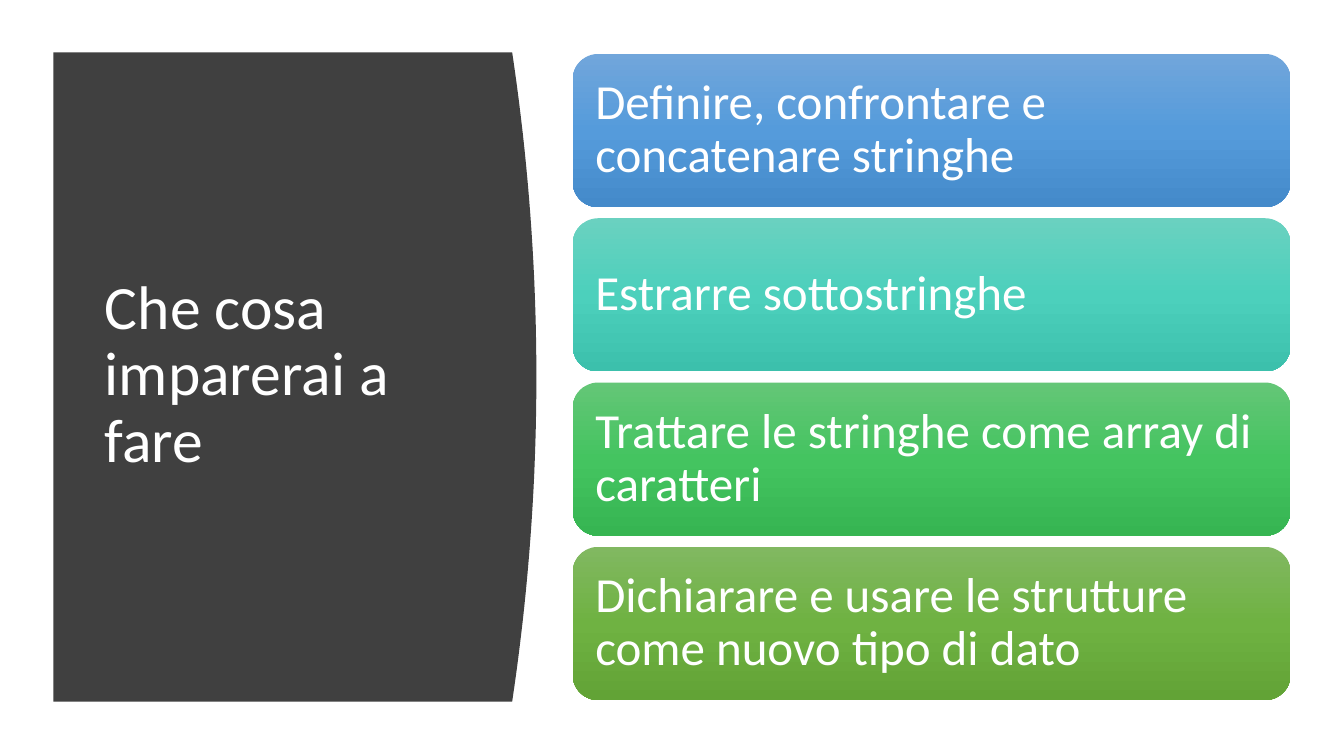
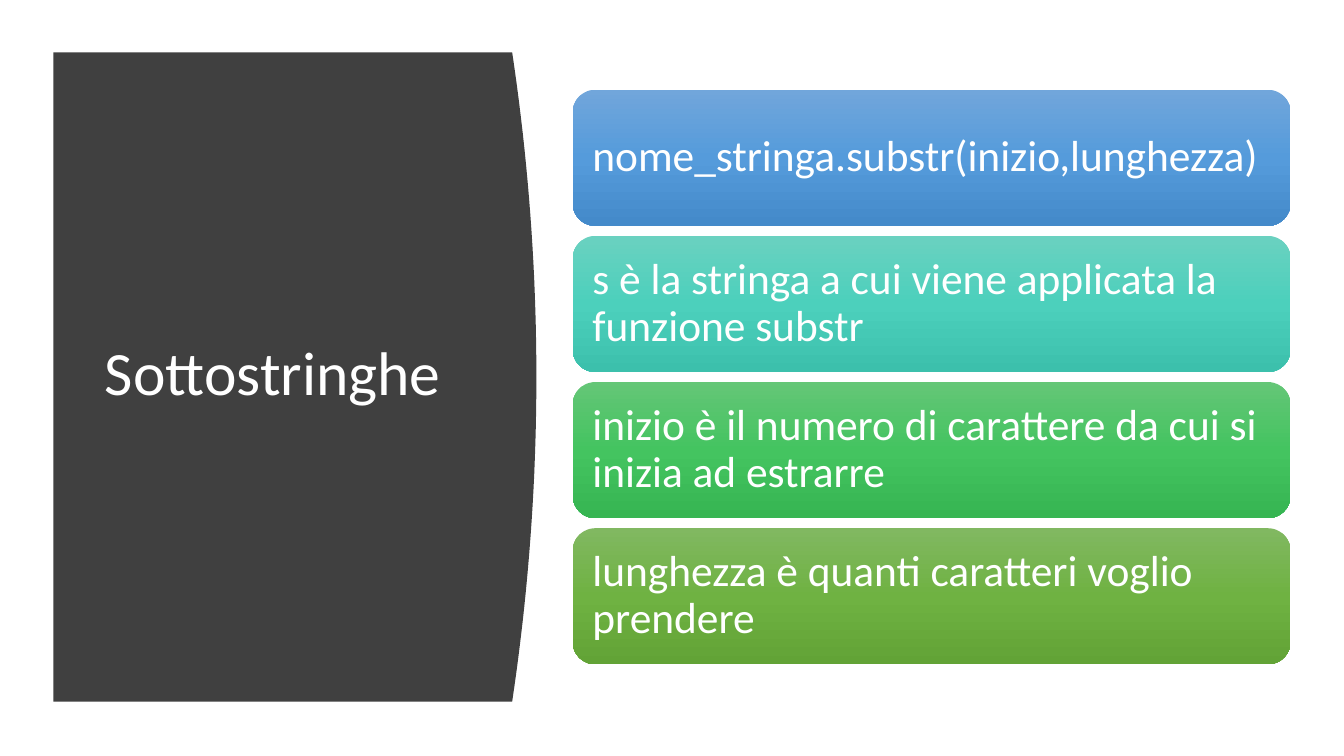
from copy import deepcopy

from pptx import Presentation
from pptx.dml.color import RGBColor
from pptx.enum.shapes import MSO_SHAPE
from pptx.enum.text import MSO_ANCHOR, MSO_AUTO_SIZE, PP_ALIGN
from pptx.oxml.ns import qn
from pptx.util import Emu, Pt

PX = 9144  # 100 px to the inch
FONT = "Calibri"
WHITE = RGBColor(0xFF, 0xFF, 0xFF)
CHARCOAL = RGBColor(0x40, 0x40, 0x40)
# Top, middle and bottom colour of each card
GRADIENTS = [
    (RGBColor(0x71, 0xA6, 0xDB), RGBColor(0x55, 0x9B, 0xDB), RGBColor(0x44, 0x8A, 0xCA)),
    (RGBColor(0x6A, 0xD1, 0xC0), RGBColor(0x4C, 0xD0, 0xBC), RGBColor(0x3C, 0xC0, 0xAC)),
    (RGBColor(0x64, 0xC6, 0x77), RGBColor(0x44, 0xC4, 0x60), RGBColor(0x36, 0xB5, 0x52)),
    (RGBColor(0x81, 0xB8, 0x61), RGBColor(0x6F, 0xB2, 0x42), RGBColor(0x62, 0xA3, 0x36)),
]

# Side panel: straight left edge, bulging right edge
PANEL_LEFT, PANEL_TOP, PANEL_BOTTOM = 53, 52, 696
PANEL_RIGHT, BULGE, CURVE_STEPS = 508, 24, 40
MIDDLE = (PANEL_TOP + PANEL_BOTTOM) // 2
CARD_LEFT, CARD_WIDTH = 568, 712


def px(*lengths):
    return [Emu(round(n * PX)) for n in lengths]


def write(shape, text, *, size, margins=(10, 5), color=WHITE):
    tf = shape.text_frame
    tf.word_wrap = True
    tf.auto_size = MSO_AUTO_SIZE.NONE
    tf.vertical_anchor = MSO_ANCHOR.MIDDLE
    tf.margin_left = tf.margin_right = margins[0] * PX
    tf.margin_top = tf.margin_bottom = margins[1] * PX
    p = tf.paragraphs[0]
    p.alignment = PP_ALIGN.LEFT
    p.line_spacing = 0.9
    r = p.add_run()
    r.text = text
    r.font.name = FONT
    r.font.size = Pt(size)
    r.font.color.rgb = color


def add_panel(s):
    curve = []
    for i in range(CURVE_STEPS + 1):
        t = i / CURVE_STEPS
        x = PANEL_RIGHT + BULGE * (1 - (2 * t - 1) ** 2)
        curve.append(px(x, PANEL_TOP + t * (PANEL_BOTTOM - PANEL_TOP)))
    builder = s.shapes.build_freeform(*px(PANEL_LEFT, PANEL_TOP))
    builder.add_line_segments(curve + [px(PANEL_LEFT, PANEL_BOTTOM)], close=True)
    panel = builder.convert_to_shape()
    panel.shadow.inherit = False
    panel.fill.solid()
    panel.fill.fore_color.rgb = CHARCOAL
    panel.line.fill.background()
    # Keep the title in front of the panel
    s.shapes.title.element.addprevious(panel.element)


def add_title(s, text):
    title = s.shapes.title
    title.left, title.top, title.width, title.height = px(94, 111, 374, 524)
    write(title, text, size=44)


def fill_gradient(shape, colors):
    shape.fill.gradient()
    shape.fill.gradient_angle = 270
    stops = shape.element.find(".//" + qn("a:gsLst"))
    stops.append(deepcopy(stops[0]))
    for i, (stop, color) in enumerate(zip(shape.fill.gradient_stops, colors)):
        stop.position = i / 2
        stop.color.rgb = color


def add_cards(s, texts, *, height, gap, size, margin):
    pitch = height + gap
    top = MIDDLE - (len(texts) * pitch - gap) / 2
    for i, (text, colors) in enumerate(zip(texts, GRADIENTS)):
        card = s.shapes.add_shape(
            MSO_SHAPE.ROUNDED_RECTANGLE,
            *px(CARD_LEFT, top + i * pitch, CARD_WIDTH, height))
        card.shadow.inherit = False
        card.line.fill.background()
        fill_gradient(card, colors)
        write(card, text, size=size, margins=(margin, margin))


def add_slide(prs, title, texts, **card_format):
    s = prs.slides.add_slide(prs.slide_layouts[5])
    add_panel(s)
    add_title(s, title)
    add_cards(s, texts, **card_format)


def main():
    prs = Presentation()
    prs.slide_width, prs.slide_height = px(1333, 750)

    # Learning goals
    add_slide(prs, "Che cosa imparerai a fare", [
        "Definire, confrontare e concatenare stringhe",
        "Estrarre sottostringhe",
        "Trattare le stringhe come array di caratteri",
        "Dichiarare e usare le strutture come nuovo tipo di dato",
    ], height=152, gap=11, size=35, margin=15)

    # Substrings
    add_slide(prs, "Sottostringhe", [
        "nome_stringa.substr(inizio,lunghezza)",
        "s è la stringa a cui viene applicata la funzione substr",
        "inizio è il numero di carattere da cui si inizia ad estrarre",
        "lunghezza è quanti caratteri voglio prendere",
    ], height=135, gap=10, size=31, margin=13)

    prs.save("out.pptx")


if __name__ == "__main__":
    main()
